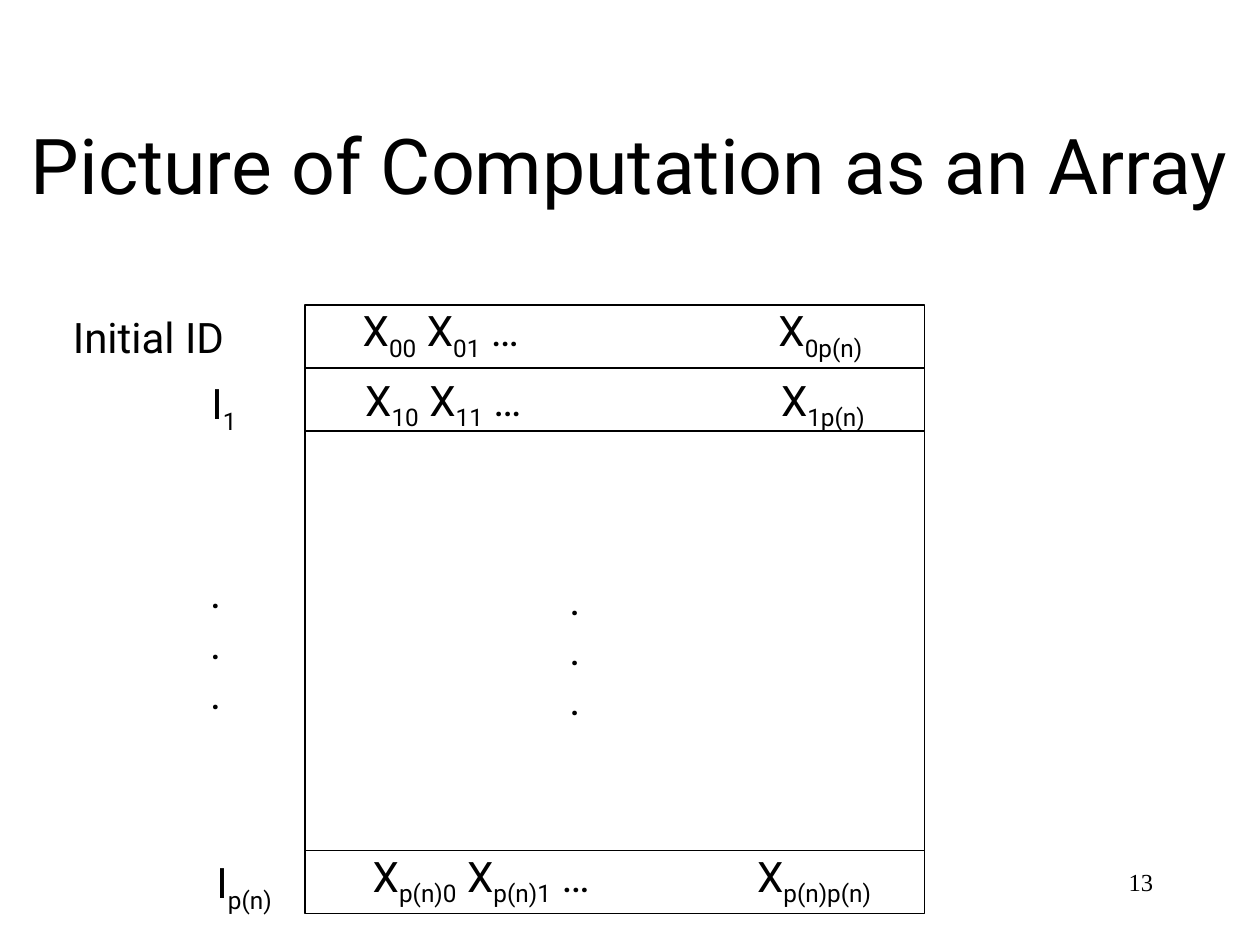
from lxml import etree
from pptx import Presentation
from pptx.dml.color import RGBColor
from pptx.enum import shapes, text
from pptx.oxml import ns
from pptx.util import Inches, Pt

HUES = {"ink": "000000"}
INK = RGBColor.from_string(HUES["ink"])
SANS, SERIF = "Roboto", "Times New Roman"
LEFT = text.PP_ALIGN.LEFT


def set_tab(para, stop):
    props = para._p.get_or_add_pPr()
    tabs = etree.Element(ns.qn("a:tabLst"))
    etree.SubElement(tabs, ns.qn("a:tab"), pos=str(Inches(stop)), algn="l")
    props.insert(0, tabs)


def add_text(slide, box, lines, size=24, face=SANS, align=LEFT, stop=None):
    shape = slide.shapes.add_textbox(*map(Inches, box))
    frame = shape.text_frame
    frame.word_wrap = True
    for i, parts in enumerate(lines):
        para = frame.paragraphs[0] if i == 0 else frame.add_paragraph()
        para.alignment = align
        para.font.size = Pt(size)
        para.font.name = face
        para.font.color.rgb = INK
        if stop:
            set_tab(para, stop)
        for j, part in enumerate(parts):
            run = para.add_run()
            run.text = part
            if j % 2:
                run._r.get_or_add_rPr().set("baseline", "-25000")
    return frame


def add_title(slide, box):
    frame = add_text(slide, box, [["Picture of Computation as an Array"]],
                     size=44, align=text.PP_ALIGN.CENTER)
    frame.vertical_anchor = text.MSO_ANCHOR.MIDDLE


def add_grid(slide, box):
    x, y, w, h = box
    rect = slide.shapes.add_shape(shapes.MSO_SHAPE.RECTANGLE, *map(Inches, box))
    rect.shadow.inherit = False
    rect.fill.background()
    rect.line.color.rgb = INK
    rect.line.width = Pt(0.75)
    for drop in (0.5, 1, h - 0.5):
        rule = slide.shapes.add_connector(
            shapes.MSO_CONNECTOR.STRAIGHT, Inches(x), Inches(y + drop),
            Inches(x + w), Inches(y + drop))
        rule.line.color.rgb = INK
        rule.line.width = Pt(0.75)
        etree.SubElement(rule._element.spPr, ns.qn("a:effectLst"))

    rows = [
        (0.36, -0.05, "0", 3.3),
        (0.38, 0.5, "1", 3.3),
        (0.44, 4.28, "p(n)", 3.05),
    ]
    for dx, dy, row, stop in rows:
        parts = ["X", row + "0", " X", row + "1", " …\tX", row + "p(n)"]
        add_text(slide, (x + dx, y + dy, 4.29, 0.56), [parts], stop=stop)
    add_text(slide, (x + 2, y + 2.08, 0.29, 1.3), [["."]] * 3)


def add_labels(slide, box):
    x, y = box[:2]
    labels = [
        (0, 0, 1.52, 0.5, [["Initial ID"]]),
        (1.1, 0.53, 0.42, 0.56, [["I", "1"]]),
        (1.09, 2.03, 0.29, 1.3, [["."]] * 3),
        (1.14, 4.33, 0.7, 0.56, [["I", "p(n)"]]),
    ]
    for dx, dy, w, h, lines in labels:
        add_text(slide, (x + dx, y + dy, w, h), lines)


def main():
    deck = Presentation()
    deck.slide_width, deck.slide_height = Inches(10), Inches(7.5)
    slide = deck.slides.add_slide(deck.slide_layouts[6])
    add_text(slide, (7.17, 6.83, 2.08, 0.5), [["13"]], size=14, face=SERIF,
             align=text.PP_ALIGN.RIGHT)
    add_title(slide, (0, 0.67, 10, 1.25))
    add_grid(slide, (2.42, 2.42, 4.92, 4.83))
    add_labels(slide, (0.48, 2.42, 1.84, 4.83))
    deck.save("out.pptx")


if __name__ == "__main__":
    main()
